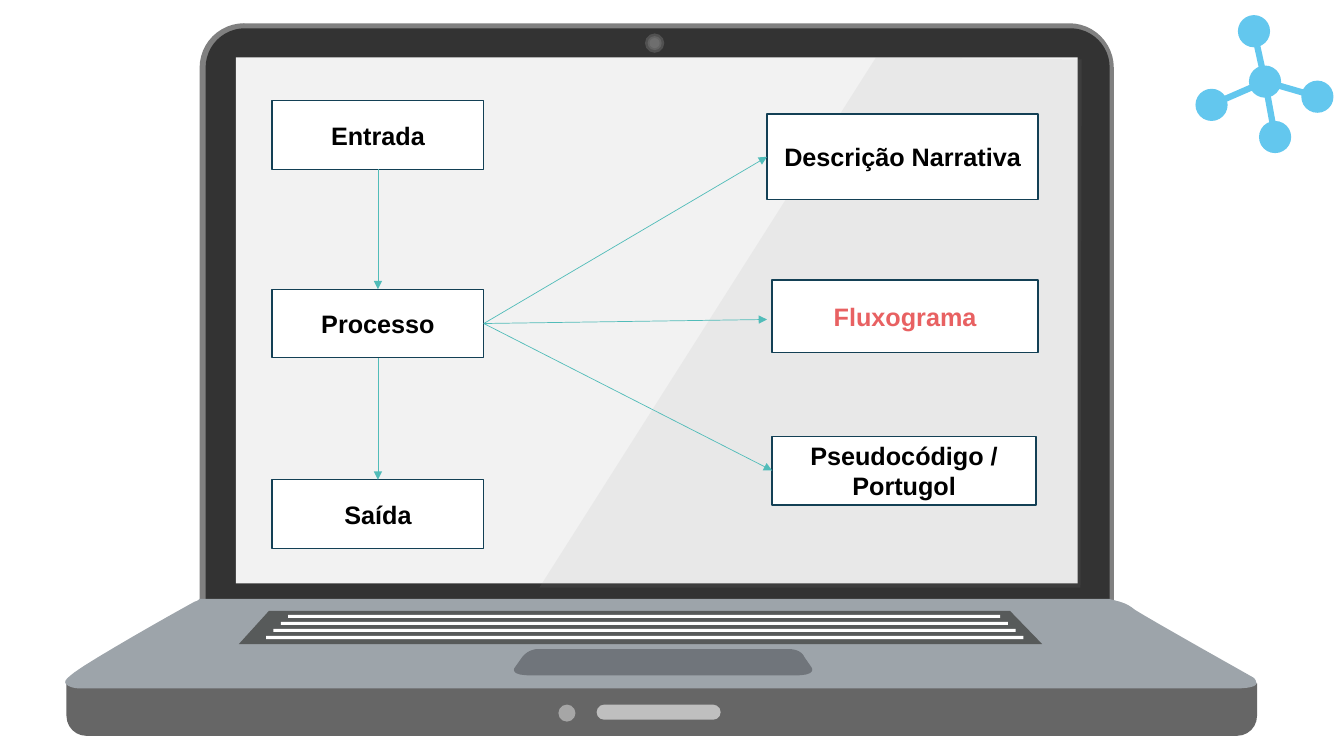
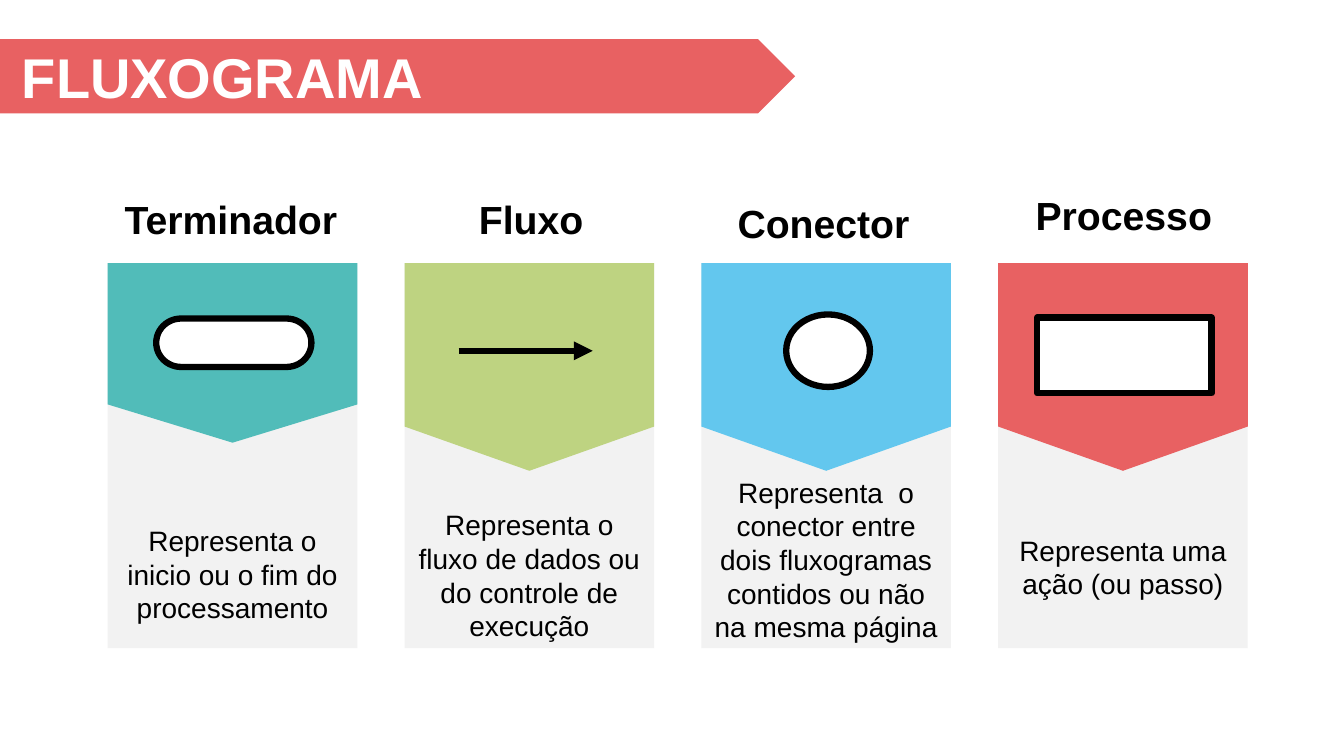
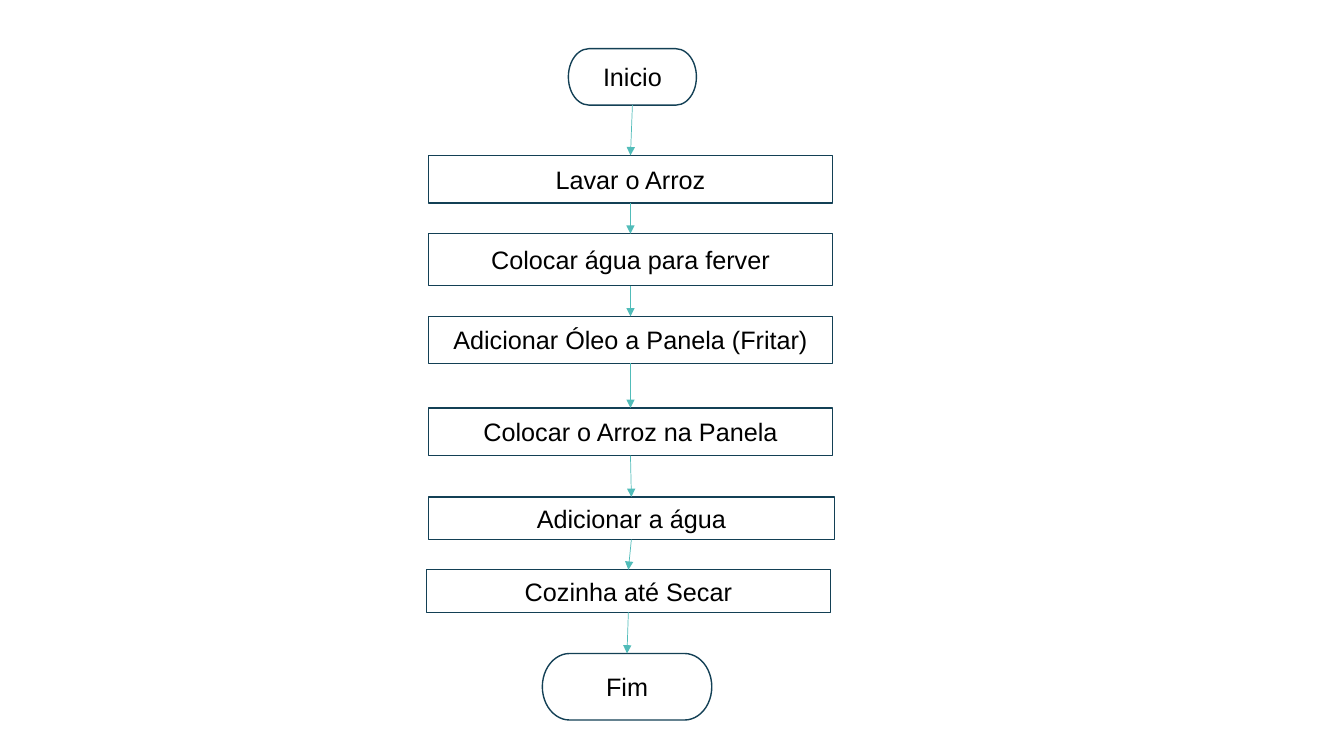
"""Build three slides on describing a process and on flowchart symbols."""
from pptx import Presentation
from pptx.dml.color import RGBColor
from pptx.enum.shapes import MSO_CONNECTOR, MSO_SHAPE
from pptx.enum.text import MSO_ANCHOR, PP_ALIGN
from pptx.oxml.ns import qn
from pptx.oxml.xmlchemy import OxmlElement
from pptx.util import Pt

RECTANGLE = MSO_SHAPE.RECTANGLE
OVAL = MSO_SHAPE.OVAL
ROUNDED = MSO_SHAPE.ROUNDED_RECTANGLE
TWO_ROUND = MSO_SHAPE.ROUND_2_SAME_RECTANGLE
PENTAGON = MSO_SHAPE.PENTAGON
PROCESS = MSO_SHAPE.FLOWCHART_PROCESS
TERMINATOR = MSO_SHAPE.FLOWCHART_TERMINATOR
JUNCTION = MSO_SHAPE.FLOWCHART_CONNECTOR
STRAIGHT = MSO_CONNECTOR.STRAIGHT
MIDDLE = MSO_ANCHOR.MIDDLE
LEFT, CENTER = PP_ALIGN.LEFT, PP_ALIGN.CENTER
SITE_TOP, SITE_LEFT, SITE_BOTTOM, SITE_RIGHT = range(4)

WHITE = RGBColor(0xFF, 0xFF, 0xFF)
BLACK = RGBColor(0x00, 0x00, 0x00)
RED = RGBColor(0xE8, 0x61, 0x62)
TEAL = RGBColor(0x51, 0xBC, 0xB9)
GREEN = RGBColor(0xBE, 0xD3, 0x81)
BLUE = RGBColor(0x63, 0xC7, 0xEE)
NAVY = RGBColor(0x13, 0x40, 0x55)
PALE = RGBColor(0xF2, 0xF2, 0xF2)
GLARE = RGBColor(0x99, 0x99, 0x99)
EDGE = RGBColor(0x80, 0x80, 0x80)
BEZEL = RGBColor(0x33, 0x33, 0x33)
FRONT = RGBColor(0x66, 0x66, 0x66)
SURFACE = RGBColor(0x9D, 0xA4, 0xAA)
TOUCHPAD = RGBColor(0x70, 0x75, 0x7B)
KEYBOARD = RGBColor(0x57, 0x5A, 0x5A)
LATCH = RGBColor(0xBF, 0xBF, 0xBF)
LIGHT = RGBColor(0xA6, 0xA6, 0xA6)

BOX_FONT = {"name": "Arial", "size": Pt(18), "bold": False}
BOX_BOLD = {**BOX_FONT, "bold": True}
BODY_FONT = {**BOX_FONT, "size": Pt(20)}
HEADING_FONT = {**BOX_BOLD, "size": Pt(28)}
TITLE_FONT = {**BOX_BOLD, "size": Pt(40)}

MOLECULE_CENTER = (903.6, 58.3)
MOLECULE_ENDS = [(895.7, 22.3), (941, 69.1), (910.8, 97.9), (865.4, 74.9)]
ATOM_RADIUS = 11.5

SURFACE_OUTLINE = [
    (881.3, 491.8), (57.6, 491.8),
    (57.6, 491.8, 50.4, 491.8, 47.5, 488.9),
    (45.4, 486.7, 46.8, 485.3, 53.3, 480.2),
    (67, 470.2, 123.1, 438.5, 139, 429.8),
    (141.8, 429.1, 142.6, 427.7, 142.6, 427.7),
    (792, 427.7),
    (799.2, 429.8, 804, 430, 810.7, 435.6),
    (824.4, 444.2, 895, 483.8, 895, 483.8),
    (895, 483.8, 897.1, 485.3, 897.1, 486.7),
    (898.6, 488.9, 897.1, 491.8, 881.3, 491.8),
]
TOUCHPAD_OUTLINE = [
    (383.8, 463.7),
    (380.2, 463.7, 375.8, 465.8, 373, 469.4), (367.9, 476.6),
    (367.9, 476.6, 362.2, 483.1, 381.6, 482.4), (565.9, 482.4),
    (584.6, 483.1, 579.6, 476.6, 579.6, 476.6), (574.6, 469.4),
    (573.1, 465.8, 568.8, 463.7, 563.8, 463.7),
]
KEYBOARD_OUTLINE = [(744.5, 460.1), (170.6, 460.1), (192.2, 436.3), (721.4, 436.3)]
GLARE_OUTLINE = [(625.7, 41), (772.6, 42.5), (771.8, 419.8), (385.2, 419.8)]
CAMERA_CENTER, CAMERA_RADII = (467.6, 30.8), (6.9, 5, 3.6)

STAGES = [("Entrada", 72), ("Processo", 206.6), ("Saída", 342.7)]
STAGE_LEFT, STAGE_WIDTH, STAGE_HEIGHT = 194.4, 151.2, 49
METHODS = [
    ("Descrição Narrativa", (547.9, 81.4, 193.7, 61.2), BLACK),
    ("Fluxograma", (551.5, 200, 190.1, 52), RED),
    ("Pseudocódigo / Portugol", (551.5, 311.6, 188.6, 49), BLACK),
]
FLOW_ARROW = (345.6, 231.1), (547.9, 228.2)

TITLE = "FLUXOGRAMA"
CARD_LEFT, CARD_STEP, CARD_TOP = 77, 212, 188
CARD_WIDTH, CARD_HEIGHT, SHOULDER = 178.3, 275, 0.787
HEADING_WIDTH, HEADING_HEIGHT = 181.4, 41
CARDS = [
    {"heading": "Terminador", "heading_at": (74.2, 136), "colour": TEAL, "tip": 128.2,
     "body": "Representa o inicio ou o fim do processamento", "body_span": (370, 80),
     "symbol": (TERMINATOR, 111.6, 227.5, 110.9, 34.6)},
    {"heading": "Fluxo", "heading_at": (288.7, 136), "colour": GREEN, "tip": 148.3,
     "body": "Representa o fluxo de dados ou do controle de execução",
     "body_span": (358.6, 104.4), "symbol": None},
    {"heading": "Conector", "heading_at": (497.5, 139), "colour": BLUE, "tip": 148.3,
     "body": "Representa  o conector entre dois fluxogramas contidos ou não na mesma página",
     "body_span": (335.5, 128), "symbol": (JUNCTION, 561.6, 224.6, 59.8, 51.8)},
    {"heading": "Processo", "heading_at": (712, 133.2), "colour": RED, "tip": 148.3,
     "body": "Representa uma ação (ou passo)", "body_span": (377.3, 55.4),
     "symbol": (PROCESS, 740.9, 226.8, 124.6, 54)},
]
SYMBOL_ARROW = (327.6, 250.6), (423.4, 250.6)

STEPS = [
    ("Inicio", TERMINATOR, (406, 34.8, 91.5, 40.3)),
    ("Lavar o Arroz", PROCESS, (306, 111, 288.7, 34)),
    ("Colocar água para ferver", PROCESS, (306, 167, 288.7, 37)),
    ("Adicionar Óleo a Panela (Fritar)", PROCESS, (306, 226, 288.7, 33.5)),
    ("Colocar o Arroz na Panela", PROCESS, (306, 291.4, 288.7, 34)),
    ("Adicionar a água", PROCESS, (306, 355, 290, 30.3)),
    ("Cozinha até Secar", PROCESS, (304.5, 407, 288.7, 30.3)),
    ("Fim", TERMINATOR, (387.4, 466.8, 121, 47.5)),
]


def finish(shape, fill, line=None, width=1, opacity=None):
    shape.shadow.inherit = False
    shape.fill.solid()
    shape.fill.fore_color.rgb = fill
    if opacity is not None:
        alpha = OxmlElement("a:alpha")
        alpha.set("val", str(opacity * 1000))
        shape._element.spPr.find(".//" + qn("a:srgbClr")).append(alpha)
    if line is None:
        shape.line.fill.background()
    else:
        shape.line.color.rgb = line
        shape.line.width = Pt(width)
    return shape


def add_preset(page, kind, place, fill, adjust=(), **look):
    shape = page.shapes.add_shape(kind, *map(Pt, place))
    for index, value in enumerate(adjust):
        shape.adjustments[index] = value
    return finish(shape, fill, **look)


def add_disc(page, center, radius, fill, **look):
    x, y = center
    return add_preset(page, OVAL, (x - radius, y - radius, 2 * radius, 2 * radius), fill, **look)


def curve_points(start, curve, count=8):
    controls = [start, curve[:2], curve[2:4], curve[4:]]
    for index in range(1, count + 1):
        t = index / count
        weights = ((1 - t) ** 3, 3 * t * (1 - t) ** 2, 3 * t * t * (1 - t), t ** 3)
        yield tuple(sum(w * c[axis] for w, c in zip(weights, controls)) for axis in (0, 1))


def add_outline(page, segments, fill, **look):
    points = [segments[0]]
    for segment in segments[1:]:
        points.extend([segment] if len(segment) == 2 else curve_points(points[-1], segment))
    corners = [(Pt(x), Pt(y)) for x, y in points]
    builder = page.shapes.build_freeform(*corners[0])
    builder.add_line_segments(corners[1:], close=True)
    return finish(builder.convert_to_shape(), fill, **look)


def write(shape, text, font, colour=BLACK, align=CENTER):
    frame = shape.text_frame
    frame.word_wrap = True
    frame.vertical_anchor = MIDDLE
    para = frame.paragraphs[0]
    para.alignment = align
    span = para.add_run()
    span.text = text
    for name, value in font.items():
        setattr(span.font, name, value)
    span.font.color.rgb = colour
    return shape


def add_text(page, place, text, font, **style):
    return write(page.shapes.add_textbox(*map(Pt, place)), text, font, **style)


def add_box(page, kind, place, text, font, colour=BLACK):
    return write(add_preset(page, kind, place, WHITE, line=NAVY), text, font, colour)


def add_line(page, start, end, colour=TEAL, width=0.5, arrow=True):
    line = page.shapes.add_connector(STRAIGHT, *map(Pt, (*start, *end)))
    line.line.color.rgb = colour
    line.line.width = Pt(width)
    if arrow:
        head = OxmlElement("a:tailEnd")
        head.set("type", "triangle")
        line.line._get_or_add_ln().append(head)
    line._element.spPr.append(OxmlElement("a:effectLst"))
    return line


def link(page, source, source_site, target, target_site):
    line = add_line(page, (0, 0), (0, 0))
    line.begin_connect(source, source_site)
    line.end_connect(target, target_site)


def link_chain(page, boxes):
    for source, target in zip(boxes, boxes[1:]):
        link(page, source, SITE_BOTTOM, target, SITE_TOP)


def draw_molecule(page):
    for end in MOLECULE_ENDS:
        add_line(page, MOLECULE_CENTER, end, BLUE, 4.5, arrow=False)
    for center in [MOLECULE_CENTER, *MOLECULE_ENDS]:
        add_disc(page, center, ATOM_RADIUS, BLUE)


def draw_laptop(page):
    add_preset(page, TWO_ROUND, (142.6, 16.6, 653, 418.3), EDGE, (0.076, 0))
    add_preset(page, TWO_ROUND, (146.9, 20.2, 645.8, 413.3), BEZEL, (0.068, 0))
    add_preset(page, RECTANGLE, (168.5, 41, 601.2, 375.8), PALE)
    add_preset(page, TWO_ROUND, (47.5, 488.2, 850.4, 37.4), FRONT, (0, 0.38))
    add_outline(page, SURFACE_OUTLINE, SURFACE)
    add_outline(page, TOUCHPAD_OUTLINE, TOUCHPAD)
    add_outline(page, KEYBOARD_OUTLINE, KEYBOARD)
    add_outline(page, GLARE_OUTLINE, GLARE, opacity=10)
    for row in range(4):
        place = (190 + 5.3 * row, 454.3 - 5.05 * row, 541 - 10.8 * row, 2.2)
        add_preset(page, RECTANGLE, place, WHITE)
    for radius in CAMERA_RADII:
        add_disc(page, CAMERA_CENTER, radius, EDGE, opacity=40)
    add_preset(page, ROUNDED, (426.2, 503.3, 88.6, 10.8), LATCH, (0.5,))
    add_disc(page, (405, 509.4), 6.1, LIGHT)


def build_overview(page):
    draw_molecule(page)
    draw_laptop(page)
    stages = [add_box(page, RECTANGLE, (STAGE_LEFT, top, STAGE_WIDTH, STAGE_HEIGHT), text, BOX_BOLD)
              for text, top in STAGES]
    narrative, _, pseudocode = [add_box(page, RECTANGLE, place, text, BOX_BOLD, colour)
                                for text, place, colour in METHODS]
    link_chain(page, stages)
    for method in (narrative, pseudocode):
        link(page, stages[1], SITE_RIGHT, method, SITE_LEFT)
    add_line(page, *FLOW_ARROW)


def build_symbols(page):
    for index, card in enumerate(CARDS):
        left = CARD_LEFT + index * CARD_STEP
        right, tip = left + CARD_WIDTH, CARD_TOP + card["tip"]
        shoulder = CARD_TOP + card["tip"] * SHOULDER
        add_preset(page, RECTANGLE, (left, CARD_TOP, CARD_WIDTH, CARD_HEIGHT), PALE)
        add_outline(page, [(left, CARD_TOP), (right, CARD_TOP), (right, shoulder),
                           ((left + right) / 2, tip), (left, shoulder)], card["colour"])
        top, height = card["body_span"]
        add_text(page, (left, top, CARD_WIDTH, height), card["body"], BODY_FONT)
        add_text(page, (*card["heading_at"], HEADING_WIDTH, HEADING_HEIGHT),
                 card["heading"], HEADING_FONT)
        if card["symbol"]:
            kind, *place = card["symbol"]
            add_preset(page, kind, place, WHITE, line=BLACK, width=4.5)
    add_line(page, *SYMBOL_ARROW, BLACK, 4.5)
    add_preset(page, PENTAGON, (0, 28, 568, 53), RED)
    add_text(page, (8.6, 37.5, 494, 34), TITLE, TITLE_FONT, colour=WHITE, align=LEFT)


def build_recipe(page):
    link_chain(page, [add_box(page, kind, place, text, BOX_FONT) for text, kind, place in STEPS])


def main():
    deck = Presentation()
    deck.slide_width, deck.slide_height = Pt(960), Pt(540)
    for build in (build_overview, build_symbols, build_recipe):
        build(deck.slides.add_slide(deck.slide_layouts[6]))
    deck.save("out.pptx")


if __name__ == "__main__":
    main()
